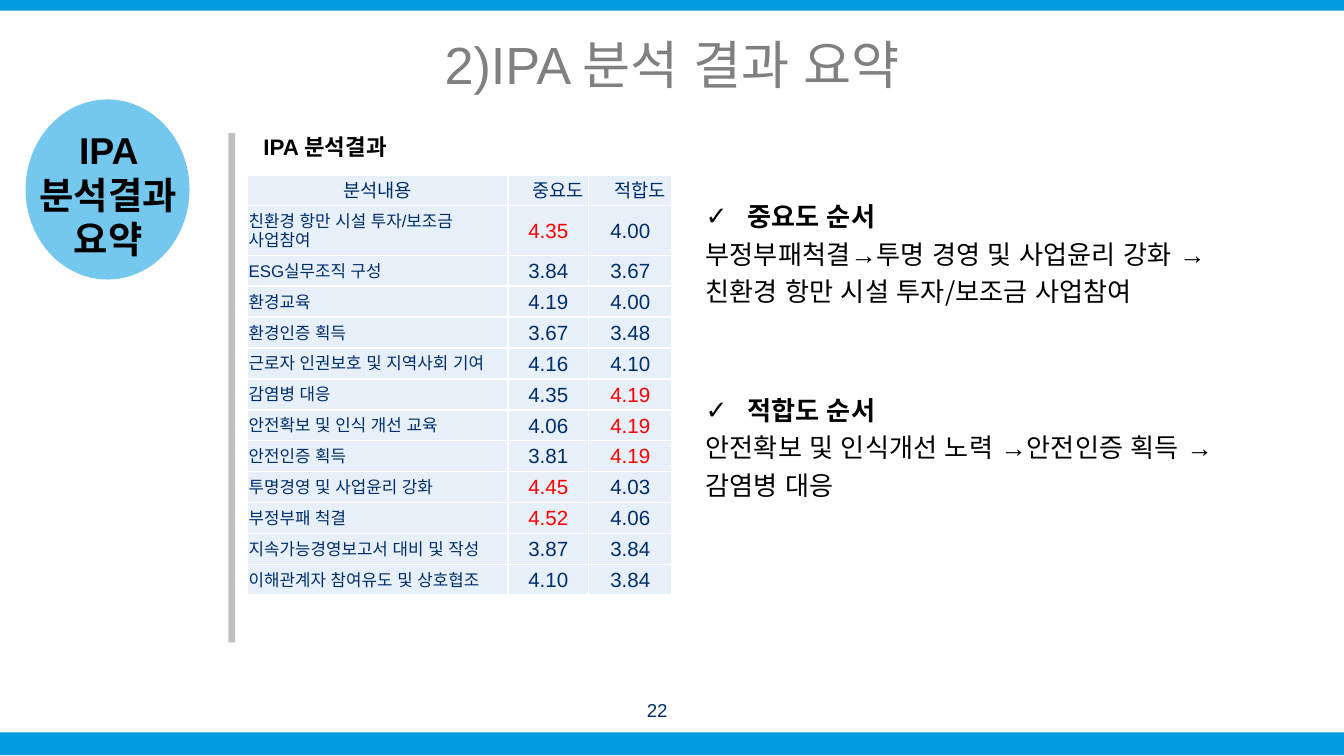
from typing import NamedTuple

from lxml.etree import SubElement
from pptx import Presentation
from pptx.dml.color import RGBColor
from pptx.enum.shapes import MSO_SHAPE as Shape
from pptx.enum.text import MSO_ANCHOR as Anchor, PP_ALIGN as Align
from pptx.oxml import parse_xml
from pptx.oxml.ns import nsdecls, qn
from pptx.util import Inches, Pt

LATIN, KOREAN = "Arial", "Noto Sans CJK KR"
BLUE, NAVY, RED, PALE = "009BDE", "002E6D", "FF0000", "E7EFF9"
LINE_SPACING = 20
ROW_HEIGHT, WRAPPED_ROW_HEIGHT = 0.23, 0.37


class Box(NamedTuple):
    left: float
    top: float
    width: float
    height: float


class Score(NamedTuple):
    item: str
    importance: str
    fitness: str
    top_column: int = 0


class Ranking(NamedTuple):
    top: float
    heading: str
    order: str


SCORES = [
    Score("친환경 항만 시설 투자/보조금 사업참여", "4.35", "4.00", 1),
    Score("ESG실무조직 구성", "3.84", "3.67"),
    Score("환경교육", "4.19", "4.00"),
    Score("환경인증 획득", "3.67", "3.48"),
    Score("근로자 인권보호 및 지역사회 기여", "4.16", "4.10"),
    Score("감염병 대응", "4.35", "4.19", 2),
    Score("안전확보 및 인식 개선 교육", "4.06", "4.19", 2),
    Score("안전인증 획득", "3.81", "4.19", 2),
    Score("투명경영 및 사업윤리 강화", "4.45", "4.03", 1),
    Score("부정부패 척결", "4.52", "4.06", 1),
    Score("지속가능경영보고서 대비 및 작성", "3.87", "3.84"),
    Score("이해관계자 참여유도 및 상호협조", "4.10", "3.84"),
]
RANKINGS = [
    Ranking(1.45, "중요도 순서",
            "부정부패척결→투명 경영 및 사업윤리 강화 → 친환경 항만 시설 투자/보조금 사업참여"),
    Ranking(2.89, "적합도 순서",
            "안전확보 및 인식개선 노력 →안전인증 획득 →감염병 대응"),
]


def color(value: str) -> RGBColor:
    return RGBColor.from_string(value)


def write(para, text: str, *, size: float, ink: str = "000000", font: str = LATIN,
          bold: bool = False, align=Align.LEFT, spacing: float | None = None) -> None:
    para.alignment = align
    if spacing:
        para.line_spacing = Pt(spacing)
    span = para.add_run()
    span.text = text
    span.font.size, span.font.bold, span.font.name = Pt(size), bold, font
    span.font.color.rgb = color(ink)
    SubElement(span.font._element, qn("a:ea"), typeface=LATIN)


def add_frame(page, box: Box, anchor=Anchor.TOP):
    frame = page.shapes.add_textbox(*map(Inches, box)).text_frame
    frame.word_wrap = True
    frame.vertical_anchor = anchor
    frame.margin_left = frame.margin_right = frame.margin_top = frame.margin_bottom = 0
    return frame


def add_label(page, box: Box, text: str, anchor=Anchor.MIDDLE, **style) -> None:
    write(add_frame(page, box, anchor).paragraphs[0], text, **style)


def add_block(page, box: Box, fill: str, kind=Shape.RECTANGLE, opacity: int = 100) -> None:
    shape = page.shapes.add_shape(kind, *map(Inches, box))
    shape.shadow.inherit = False
    shape.fill.solid()
    shape.fill.fore_color.rgb = color(fill)
    shape.line.fill.background()
    if opacity < 100:
        tone = shape._element.spPr.find(qn("a:solidFill"))[0]
        SubElement(tone, qn("a:alpha"), val=str(opacity * 1000))


def add_ranking(page, ranking: Ranking) -> None:
    frame = add_frame(page, Box(5.25, ranking.top, 3.94, 1.05))
    heading = frame.paragraphs[0]
    props = heading._p.get_or_add_pPr()
    props.set("marL", str(Inches(0.31)))
    props.set("indent", str(Inches(-0.31)))
    SubElement(props, qn("a:buFont"), typeface=LATIN)
    SubElement(props, qn("a:buChar"), char="✓")
    style = dict(size=14, font=KOREAN, spacing=LINE_SPACING)
    write(heading, ranking.heading, bold=True, **style)
    write(frame.add_paragraph(), ranking.order, **style)


def format_cell(cell, text: str, left: float = 0.01, **style) -> None:
    cell.margin_left = Inches(left)
    cell.margin_right = cell.margin_top = Inches(0.01)
    cell.margin_bottom = 0
    cell.vertical_anchor = Anchor.MIDDLE
    cell.fill.solid()
    cell.fill.fore_color.rgb = color(PALE)
    for index, side in enumerate(("lnL", "lnR", "lnT", "lnB")):
        border = parse_xml(
            f'<a:{side} {nsdecls("a")} w="{Pt(1)}"><a:solidFill>'
            f'<a:srgbClr val="FFFFFF"/></a:solidFill></a:{side}>')
        cell._tc.get_or_add_tcPr().insert(index, border)
    write(cell.text_frame.paragraphs[0], text, **style)


def add_scores(page) -> None:
    box = Box(1.84, 1.3, 3.16, 3.06)
    table = page.shapes.add_table(len(SCORES) + 1, 3, *map(Inches, box)).table
    for column, width in zip(table.columns, (1.94, 0.6, 0.62)):
        column.width = Inches(width)
    for row in table.rows:
        row.height = Inches(ROW_HEIGHT)
    table.rows[1].height = Inches(WRAPPED_ROW_HEIGHT)
    for column, title in enumerate(("분석내용", "중요도", "적합도")):
        format_cell(table.cell(0, column), title, left=0.16 if column else 0.01,
                    size=10, ink=NAVY, font=LATIN if column else KOREAN,
                    align=Align.CENTER)
    for row, score in enumerate(SCORES, 1):
        format_cell(table.cell(row, 0), score.item, size=9, ink=NAVY)
        for column in (1, 2):
            format_cell(table.cell(row, column), score[column], size=11,
                        ink=RED if column == score.top_column else NAVY,
                        align=Align.CENTER)


def main() -> None:
    """Build the IPA result summary slide."""
    deck = Presentation()
    deck.slide_width = Inches(10)
    deck.slide_height = deck.slide_width * 9 // 16
    page = deck.slides.add_slide(deck.slide_layouts[6])
    add_block(page, Box(0, 0, 10, 0.08), BLUE)
    add_block(page, Box(0, 5.45, 10, 0.17), BLUE)
    add_block(page, Box(0.19, 0.74, 1.22, 1.34), BLUE, Shape.OVAL, opacity=54)
    add_label(page, Box(0.81, 0.2, 8.38, 0.54), "2)IPA 분석 결과 요약",
              size=28, ink="808080", align=Align.CENTER)
    add_block(page, Box(1.7, 0.99, 0.05, 3.79), "BFBFBF")
    add_label(page, Box(0.1, 0.89, 1.41, 1.11), "IPA 분석결과 요약",
              size=20, bold=True, align=Align.CENTER)
    add_label(page, Box(1.96, 0.91, 2.93, 0.29), "IPA 분석결과", Anchor.TOP,
              size=12, bold=True, spacing=LINE_SPACING)
    add_scores(page)
    for ranking in RANKINGS:
        add_ranking(page, ranking)
    add_label(page, Box(4.64, 5.13, 0.5, 0.3), "22",
              size=10, ink=NAVY, align=Align.CENTER)
    deck.save("out.pptx")


if __name__ == "__main__":
    main()
